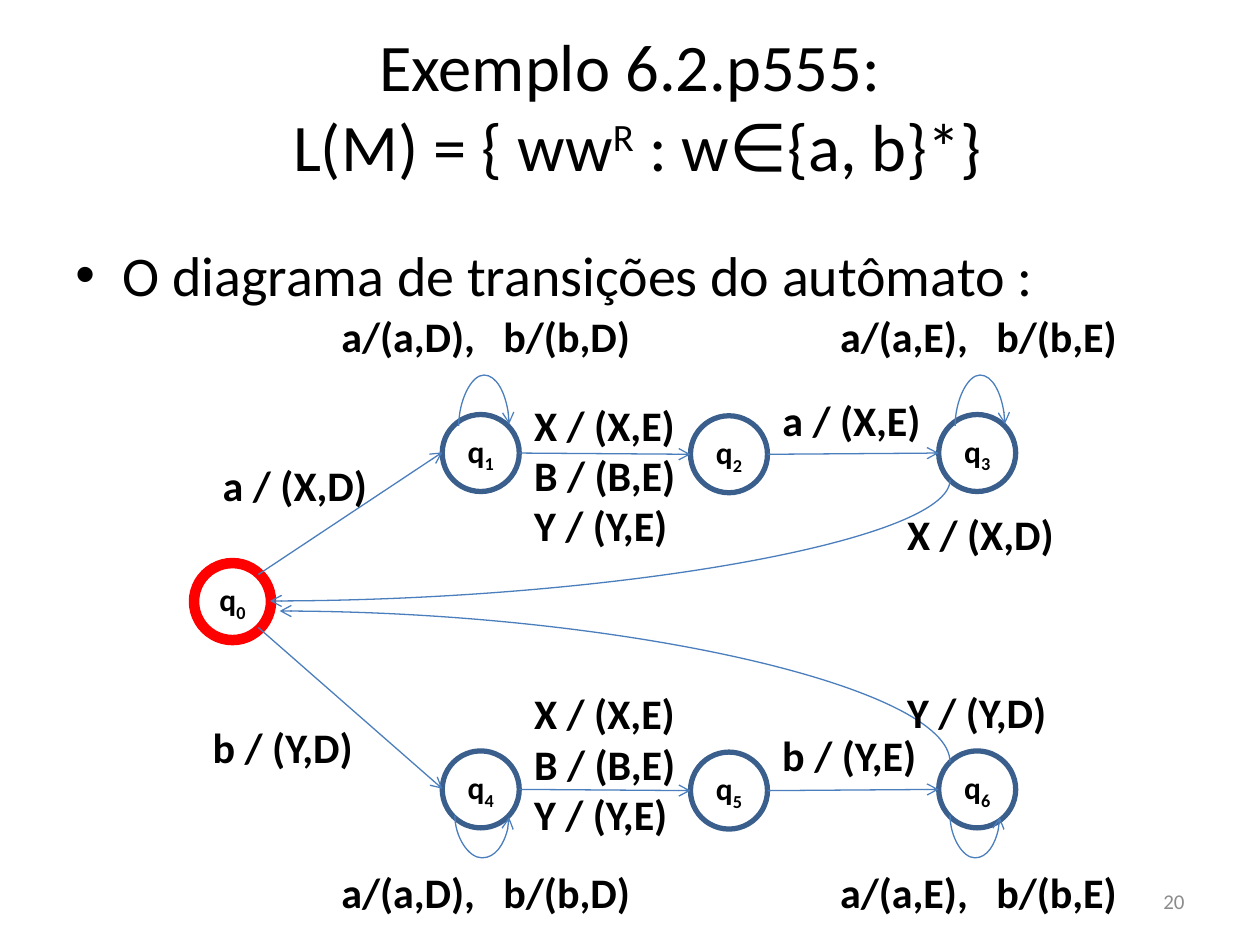
from lxml import etree
from pptx import Presentation
from pptx.dml.color import RGBColor
from pptx.enum.shapes import MSO_CONNECTOR as CONN, MSO_SHAPE as SHAPE
from pptx.enum.text import MSO_ANCHOR as ANCHOR, MSO_AUTO_SIZE as AUTO, PP_ALIGN as ALIGN
from pptx.oxml.ns import qn
from pptx.util import Pt

BLACK, GRAY, RED = "000000", "8C8C8C", "FF0000"
RING, EDGE = "3A5F8C", "4B7EBC"
NODE = 44       # diameter of a state
STEP = 141.84   # distance from one state to the next in a row


def color(value):
    return RGBColor.from_string(value)


def add_run(p, text, size, fill=BLACK, bold=False, baseline=0):
    r = p.add_run()
    r.text = text
    fmt = {"name": "Calibri", "size": Pt(size), "bold": bold}
    for key, value in fmt.items():
        setattr(r.font, key, value)
    r.font.color.rgb = color(fill)
    if baseline:
        r.font._element.set("baseline", str(baseline * 1000))


def text_box(s, box, **fmt):
    tf = s.shapes.add_textbox(*map(Pt, box)).text_frame
    for key, value in {"word_wrap": True, **fmt}.items():
        setattr(tf, key, value)
    return tf


def label(s, x, y, w, *lines):
    """Bold edge label, one paragraph for each line."""
    tf = text_box(s, (x, y, w, 7 + 29 * len(lines)),
                  word_wrap=False, auto_size=AUTO.SHAPE_TO_FIT_TEXT)
    for i, line in enumerate(lines):
        p = tf.add_paragraph() if i else tf.paragraphs[0]
        add_run(p, line, 24, bold=True)


def state(s, x, y, number, ring=RING, weight=3):
    sp = s.shapes.add_shape(SHAPE.OVAL, Pt(x), Pt(y), Pt(NODE), Pt(NODE))
    sp.shadow.inherit = False
    sp.fill.background()
    sp.line.color.rgb = color(ring)
    sp.line.width = Pt(weight)
    tf = sp.text_frame
    fmt = {"word_wrap": False, "vertical_anchor": ANCHOR.MIDDLE, "margin_left": 0, "margin_right": 0}
    for key, value in fmt.items():
        setattr(tf, key, value)
    p = tf.paragraphs[0]
    p.alignment = ALIGN.CENTER
    add_run(p, "q", 18, bold=True)
    add_run(p, number, 18, bold=True, baseline=-25)


def arrow(s, start, end, kind=CONN.STRAIGHT):
    c = s.shapes.add_connector(kind, *map(Pt, (*start, *end)))
    c.line.color.rgb = color(EDGE)
    c.line.width = Pt(0.75)
    etree.SubElement(c.line._get_or_add_ln(), qn("a:tailEnd"), type="arrow")
    etree.SubElement(c._element.spPr, qn("a:effectLst"))
    return c


def curve(s, start, end, preset, turn, flips, adj=None):
    """Curved arrow that leaves its start vertically: a quarter-turned connector."""
    c = arrow(s, start, end, CONN.CURVE)
    (x1, y1), (x2, y2) = start, end
    w, h = abs(y2 - y1), abs(x2 - x1)
    place = {"left": (x1 + x2 - w) / 2, "top": (y1 + y2 - h) / 2, "width": w, "height": h}
    for key, value in place.items():
        setattr(c, key, Pt(value))
    xfrm = c._element.spPr.find(qn("a:xfrm"))
    for key in ("flipH", "flipV"):
        xfrm.set(key, str(int(key[-1] in flips)))
    xfrm.set("rot", str(turn * 60000))
    geom = c._element.spPr.find(qn("a:prstGeom"))
    geom.set("prst", preset)
    if adj:
        av = geom.find(qn("a:avLst"))
        etree.SubElement(av, qn("a:gd"), name="adj1", fmla=f"val {round(adj * 100000)}")


def loop(s, x, y, w, up):
    """Arrow from a state back to itself, above or below it."""
    if up:
        curve(s, (x, y), (x + w, y - 1), "curvedConnector3", 90, "HV", 29.3)
    else:
        curve(s, (x, y), (x + w, y + 1), "curvedConnector3", 270, "H", 24.4)


def branch(s, x, y, first, up, step, step_y, stack_y, loop_y):
    """Row of three states whose first state has its top left at (x, y)."""
    xs = [x + i * STEP for i in range(3)]
    mid = y + NODE / 2
    for i, left in enumerate(xs):
        state(s, left, y + (0.7 if i == 1 else 0), str(first + i))
    for left, dip in ((xs[0], (0, 0.7)), (xs[1], (0.7, 0))):
        arrow(s, (left + NODE, mid + dip[0]), (left + STEP, mid + dip[1]))
    # Loops on the outer states, with their labels
    edge = y + (6.5 if up else 36.9)
    loop(s, xs[0] + (9.4 if up else 7.2), edge, 28.8 if up else 31, up)
    loop(s, xs[2] + (9.4 if up else 6.5), edge, 28.4, up)
    label(s, x - 64.8, y + loop_y, 181, "a/(a,D),   b/(b,D)")
    label(s, x + 220.3, y + loop_y, 175, "a/(a,E),   b/(b,E)")
    # Labels between the states
    label(s, x + 45.4, y + stack_y, 96.5, "X / (X,E)", "B / (B,E)", "Y / (Y,E)")
    label(s, x + 187.2, y + step_y, 98 if up else 92, step)


def diagram(s, x, y):
    """Whole automaton; (x, y) is the top left of the start state."""
    row_x, upper, lower = x + STEP, y - 84.9, y + 107.3
    branch(s, row_x, upper, 1, True, "a / (X,E)", -15.1, -12.3, -63)
    branch(s, row_x, lower, 4, False, "b / (Y,E)", -15.8, -39.6, 62.7)
    state(s, x, y, "0", RED, 6)
    # From the start state to both rows
    arrow(s, (x + 36.7, y + 6.5), (row_x, upper + 21.6))
    arrow(s, (x + 36.7, y + 36.8), (row_x, lower + 21.6))
    label(s, x + 9.3, y - 62.6, 98, "a / (X,D)")
    label(s, x + 3.6, y + 87.2, 96.5, "b / (Y,D)")
    # Back to the start state
    back_x = x + 432
    curve(s, (back_x, upper + 37.4), (x + 43.4, y + 21.6), "curvedConnector2", 90, "")
    curve(s, (back_x, lower + 6.5), (x + 48.9, y + 27.4), "curvedConnector2", 270, "V")
    label(s, x + 400.3, y - 34.5, 99.4, "X / (X,D)")
    label(s, x + 400.3, y + 67, 95, "Y / (Y,D)")


def title(s, box):
    p = text_box(s, box, vertical_anchor=ANCHOR.MIDDLE).paragraphs[0]
    p.alignment = ALIGN.CENTER
    add_run(p, "Exemplo 6.2.p555:", 38)
    p.add_line_break()
    add_run(p, " L(M) = { ww", 38)
    add_run(p, "R", 38, baseline=30)
    add_run(p, " : w∈{a, b}*}", 38)


def bullet(s, box):
    p = text_box(s, box).paragraphs[0]
    p.space_before = Pt(6.4)
    pPr = p._p.get_or_add_pPr()
    pPr.set("marL", str(Pt(27)))
    pPr.set("indent", str(Pt(-27)))
    etree.SubElement(pPr, qn("a:buFont"), typeface="Arial")
    etree.SubElement(pPr, qn("a:buChar"), char="•")
    add_run(p, "O diagrama de transições do autômato :", 32)


def page_number(s, box):
    p = text_box(s, box, vertical_anchor=ANCHOR.MIDDLE).paragraphs[0]
    p.alignment = ALIGN.RIGHT
    add_run(p, "20", 12, GRAY)


def main():
    prs = Presentation()
    prs.slide_width, prs.slide_height = Pt(720), Pt(540)
    s = prs.slides.add_slide(prs.slide_layouts[6])
    title(s, (36, 15, 648, 90))
    bullet(s, (36, 134, 648, 65))
    diagram(s, 110.9, 321.8)
    page_number(s, (516, 500.5, 168, 28.8))
    prs.save("out.pptx")


if __name__ == "__main__":
    main()
